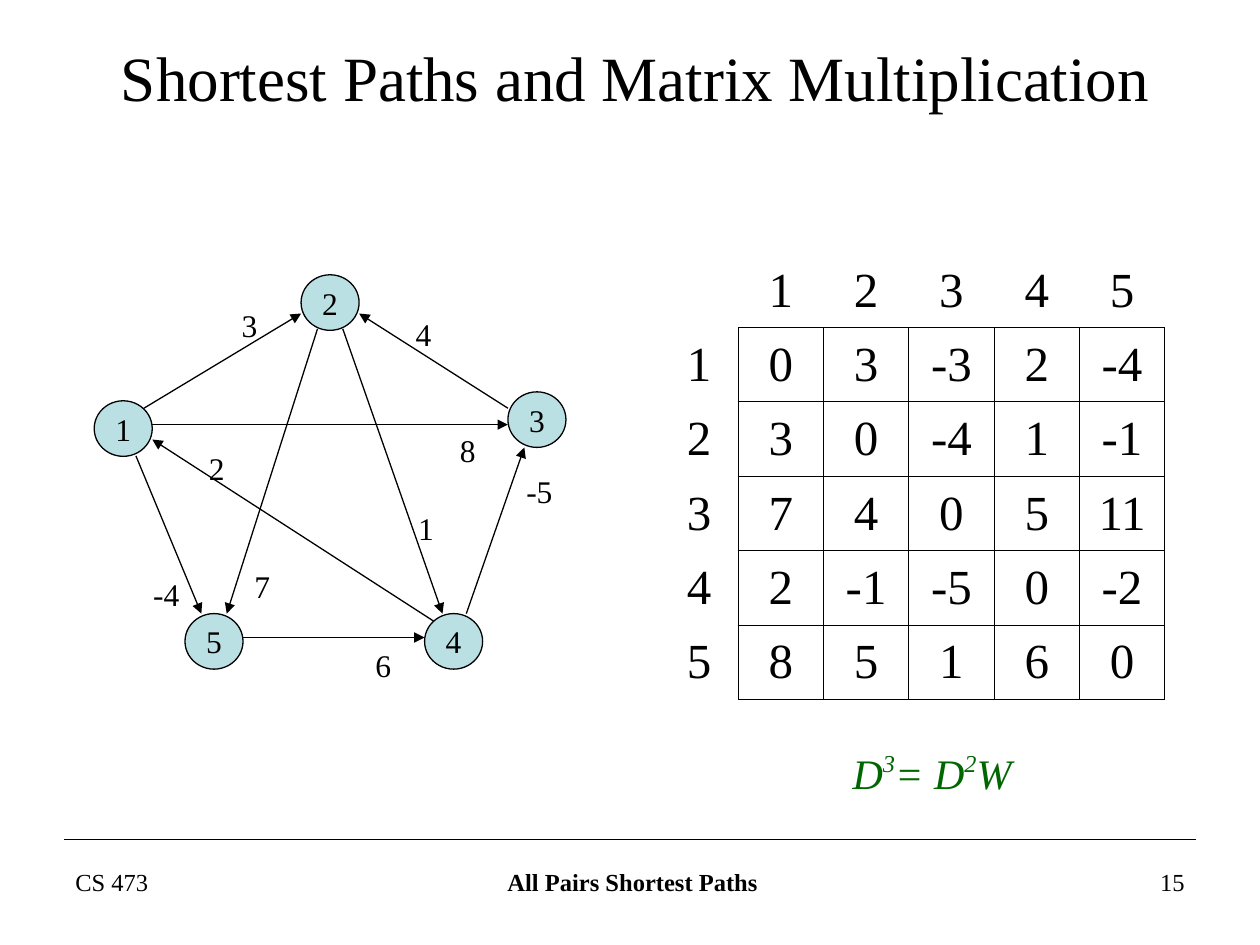
from dataclasses import dataclass

from lxml.etree import SubElement
from pptx import Presentation
from pptx.dml.color import RGBColor
from pptx.enum.shapes import MSO_CONNECTOR as Connector, MSO_SHAPE as Shape
from pptx.enum.text import MSO_ANCHOR as Anchor, MSO_AUTO_SIZE as AutoSize, PP_ALIGN as Align
from pptx.oxml.ns import qn
from pptx.util import Cm, Pt

Point = tuple[float, float]


@dataclass(frozen=True)
class Theme:
    font: str = "Times New Roman"
    ink: str = "000000"
    node_fill: str = "BBE0E3"
    formula: str = "006600"
    title_size: float = 36
    matrix_size: float = 28
    formula_size: float = 24
    graph_size: float = 18
    footer_size: float = 14
    line: float = 0.75
    border: float = 0.45


@dataclass(frozen=True)
class Node:
    label: str
    corner: Point


@dataclass(frozen=True)
class Edge:
    weight: str
    start: Point
    end: Point
    label_corner: Point


@dataclass(frozen=True)
class FooterPart:
    text: str
    left: float
    width: float
    align: Align
    bold: bool = False


THEME = Theme()
NODE_SIZE = (1.17, 1.12)
NODES = [
    Node("1", (1.9, 8.08)),
    Node("2", (6.07, 5.54)),
    Node("3", (10.24, 7.9)),
    Node("4", (8.56, 12.37)),
    Node("5", (3.73, 12.37)),
]
EDGES = [
    Edge("3", (2.9, 8.23), (6.07, 6.32), (4.62, 6.05)),
    Edge("4", (10.24, 8.23), (7.24, 6.32), (8.13, 6.22)),
    Edge("-5", (9.4, 12.37), (10.57, 9.02), (10.36, 9.4)),
    Edge("6", (4.9, 12.85), (8.56, 12.85), (7.32, 12.9)),
    Edge("-4", (2.74, 9.19), (4.06, 12.37), (2.84, 11.46)),
    Edge("7", (6.4, 6.63), (4.57, 12.37), (4.88, 11.3)),
    Edge("1", (6.91, 6.63), (8.92, 12.37), (8.18, 10.13)),
    Edge("2", (8.74, 12.52), (3.07, 8.86), (3.96, 8.92)),
    Edge("8", (3.07, 8.56), (10.24, 8.56), (9.02, 8.56)),
]
DISTANCES = [
    [0, 3, -3, 2, -4],
    [3, 0, -4, 1, -1],
    [7, 4, 0, 5, 11],
    [2, -1, -5, 0, -2],
    [8, 5, 1, 6, 0],
]
FOOTER = [
    FooterPart("CS 473", 1.27, 5.92, Align.LEFT),
    FooterPart("All Pairs Shortest Paths", 8.73, 8.05, Align.CENTER, bold=True),
    FooterPart("15", 18.21, 5.92, Align.RIGHT),
]


def write(frame, text: str, *, size: float, color: str = THEME.ink, align: Align = Align.LEFT,
          bold: bool = False, italic: bool = False, raised: bool = False) -> None:
    paragraph = frame.paragraphs[0]
    paragraph.alignment = align
    run = paragraph.add_run()
    run.text = text
    run.font.name = THEME.font
    run.font.size = Pt(size)
    run.font.bold = bold
    run.font.italic = italic
    run.font.color.rgb = RGBColor.from_string(color)
    if raised:
        run._r.get_or_add_rPr().set("baseline", "40000")


def add_frame(shapes, left: float, top: float, width: float, height: float, wrap: bool = False):
    frame = shapes.add_textbox(Cm(left), Cm(top), Cm(width), Cm(height)).text_frame
    frame.word_wrap = wrap
    return frame


def draw_line(shapes, start: Point, end: Point, arrow: bool = False) -> None:
    line = shapes.add_connector(Connector.STRAIGHT, *map(Cm, start + end))
    line.line.color.rgb = RGBColor.from_string(THEME.ink)
    line.line.width = Pt(THEME.line)
    if arrow:
        SubElement(line.line._get_or_add_ln(), qn("a:tailEnd"), type="triangle")
    SubElement(line._element.spPr, qn("a:effectLst"))


def draw_node(shapes, node: Node) -> None:
    circle = shapes.add_shape(Shape.OVAL, *map(Cm, node.corner + NODE_SIZE))
    circle.shadow.inherit = False
    circle.fill.solid()
    circle.fill.fore_color.rgb = RGBColor.from_string(THEME.node_fill)
    circle.line.color.rgb = RGBColor.from_string(THEME.ink)
    circle.line.width = Pt(THEME.line)
    circle.text_frame.word_wrap = False
    circle.text_frame.vertical_anchor = Anchor.MIDDLE
    write(circle.text_frame, node.label, size=THEME.graph_size, align=Align.CENTER)


def draw_edge_label(shapes, edge: Edge) -> None:
    width = 0.81 if len(edge.weight) == 1 else 1.04
    write(add_frame(shapes, *edge.label_corner, width, 1.02), edge.weight, size=THEME.graph_size)


def draw_borders(cell, visible: dict[str, bool]) -> None:
    properties = cell._tc.get_or_add_tcPr()
    for side, shown in visible.items():
        border = SubElement(properties, qn(f"a:ln{side}"), w=str(Pt(THEME.border)))
        if shown:
            SubElement(SubElement(border, qn("a:solidFill")), qn("a:srgbClr"), val=THEME.ink)
        else:
            SubElement(border, qn("a:noFill"))


def draw_matrix(shapes, distances: list[list[int]]) -> None:
    vertices = list(range(1, len(distances) + 1))
    rows = [["", *vertices]] + [[v, *row] for v, row in zip(vertices, distances)]
    count = len(rows)
    table = shapes.add_table(count, count, Cm(13.31), Cm(5.13), Cm(10.17), Cm(8.97)).table
    table.first_row = table.horz_banding = False
    for index in range(count):
        table.columns[index].width = Cm(1.72 if index else 1.57)
        table.rows[index].height = Cm(1.5 if index else 1.47)
    for r, row in enumerate(rows):
        for c, value in enumerate(row):
            cell = table.cell(r, c)
            inside = r > 0 and c > 0
            draw_borders(cell, {"L": inside, "R": r > 0, "T": inside, "B": c > 0})
            cell.fill.background()
            cell.vertical_anchor = Anchor.MIDDLE
            write(cell.text_frame, str(value), size=THEME.matrix_size, align=Align.CENTER)


def main() -> None:
    deck = Presentation()
    deck.slide_width, deck.slide_height = Cm(25.4), Cm(19.05)
    slide = deck.slides.add_slide(deck.slide_layouts[5])
    shapes = slide.shapes

    title = shapes.title
    title.left, title.top, title.width, title.height = map(Cm, (1.38, 0.76, 22.86, 1.55))
    title.text_frame.auto_size = AutoSize.NONE
    title.text_frame.vertical_anchor = Anchor.MIDDLE
    write(title.text_frame, "Shortest Paths and Matrix Multiplication",
          size=THEME.title_size, align=Align.CENTER)

    draw_line(shapes, (1.3, 16.92), (24.1, 16.92))
    for part in FOOTER:
        write(add_frame(shapes, part.left, 17.35, part.width, 1.32, wrap=True), part.text,
              size=THEME.footer_size, align=part.align, bold=part.bold)

    draw_matrix(shapes, DISTANCES)
    formula = add_frame(shapes, 16.94, 14.94, 3.91, 1.27)
    for text, raised in [("D", False), ("3", True), ("= D", False), ("2", True), ("W", False)]:
        write(formula, text, size=THEME.formula_size, color=THEME.formula,
              italic=True, raised=raised)

    graph = shapes.add_group_shape().shapes
    for node in NODES:
        draw_node(graph, node)
    for edge in EDGES:
        draw_line(graph, edge.start, edge.end, arrow=True)
        draw_edge_label(graph, edge)

    deck.save("out.pptx")


if __name__ == "__main__":
    main()
